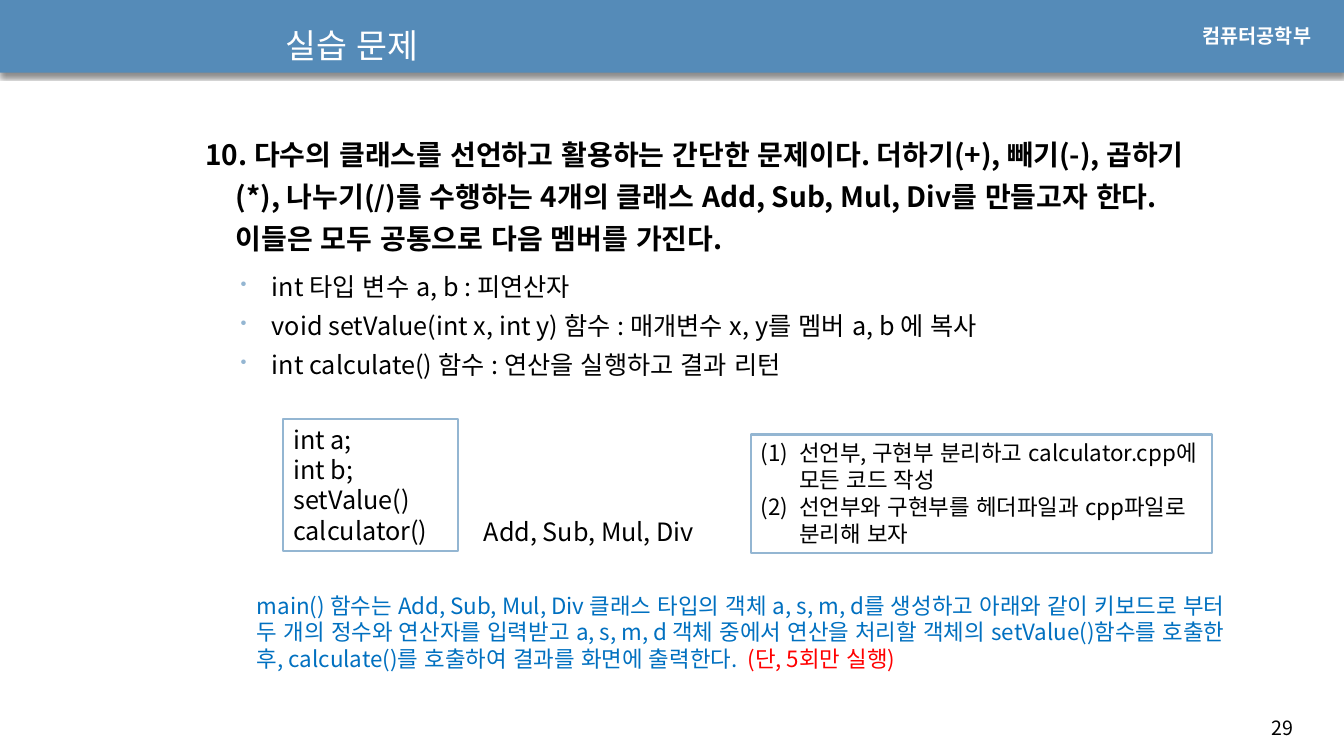
from dataclasses import dataclass, field

from lxml.etree import SubElement
from pptx import Presentation
from pptx.dml.color import RGBColor
from pptx.enum.lang import MSO_LANGUAGE_ID
from pptx.enum.shapes import MSO_SHAPE
from pptx.enum.text import MSO_ANCHOR, MSO_AUTO_SIZE, PP_ALIGN
from pptx.oxml.ns import qn
from pptx.util import Inches, Pt

SLIDE_WIDTH, SLIDE_HEIGHT = Inches(13.33), Inches(7.5)
SANS = "Noto Sans CJK KR"
COLORS = {
    "band": "558BB8",
    "border": "94B6D2",
    "white": "FFFFFF",
    "black": "000000",
    "blue": "0070C0",
    "red": "FF0000",
}


@dataclass(frozen=True)
class Area:
    """Left, top, width and height as percentages of the slide."""
    left: float
    top: float
    width: float
    height: float

    def emu(self) -> tuple[int, int, int, int]:
        return (int(SLIDE_WIDTH * self.left / 100), int(SLIDE_HEIGHT * self.top / 100),
                int(SLIDE_WIDTH * self.width / 100), int(SLIDE_HEIGHT * self.height / 100))


@dataclass(frozen=True)
class Phrase:
    text: str
    size: int
    color: str = "black"
    bold: bool = False
    face: str = SANS


@dataclass(frozen=True)
class Marker:
    """A bullet element with its attribute, and optional colour and size in percent."""
    tag: str
    attribute: str
    value: str
    color: str = ""
    percent: int = 100


@dataclass(frozen=True)
class Line:
    phrases: list[Phrase]
    indent: float = 0
    hanging: float = 0
    level: int = 0
    marker: Marker | None = None
    spacing: dict = field(default_factory=dict)


@dataclass(frozen=True)
class Block:
    area: Area
    lines: list[Line]
    bordered: bool = False
    frame_format: dict = field(default_factory=dict)


DOT = Marker("a:buChar", "char", "•", "border", 70)
NUMBER = Marker("a:buAutoNum", "type", "arabicParenBoth")
GROW = {"auto_size": MSO_AUTO_SIZE.SHAPE_TO_FIT_TEXT}

QUESTION = Line(
    [Phrase("10. 다수의 클래스를 선언하고 활용하는 간단한 문제이다. 더하기(+), 빼기(-), "
            "곱하기(*), 나누기(/)를 수행하는 4개의 클래스 Add, Sub, Mul, Div를 "
            "만들고자 한다. 이들은 모두 공통으로 다음 멤버를 가진다.", 20, bold=True)],
    indent=0.3, hanging=0.3, spacing={"line_spacing": Pt(30), "space_after": Pt(12)})
COMMON_MEMBERS = [
    Line([Phrase(member, 18)], indent=0.66, hanging=0.31, level=1, marker=DOT,
         spacing={"space_after": Pt(6)})
    for member in ("int 타입 변수 a, b : 피연산자",
                   "void setValue(int x, int y) 함수 : 매개변수 x, y를 멤버 a, b 에 복사",
                   "int calculate() 함수 : 연산을 실행하고 결과 리턴")
]
CLASS_MEMBERS = [Line([Phrase(member, 18)])
                 for member in ("int a;", "int b;", "setValue()", "calculator()")]
TASKS = [
    Line([Phrase(task, 16)], indent=0.38, hanging=0.38, marker=NUMBER)
    for task in ("선언부, 구현부 분리하고 calculator.cpp에 모든 코드 작성",
                 "선언부와 구현부를 헤더파일과 cpp파일로 분리해 보자")
]
MAIN_FUNCTION = Line([
    Phrase("main() 함수는 Add, Sub, Mul, Div 클래스 타입의 객체 a, s, m, d를 생성하고 "
           "아래와 같이 키보드로 부터 두 개의 정수와 연산자를 입력받고 a, s, m, d 객체 중에서 "
           "연산을 처리할 객체의 setValue()함수를 호출한 후, calculate()를 호출하여 "
           "결과를 화면에 출력한다.  ", 16, "blue"),
    Phrase("(단, 5회만 실행)", 16, "red"),
])

BAND = Area(0, -0.13, 100, 9.73)
BLOCKS = [
    Block(Area(93.9, 94, 5.33, 4.53), [Line([Phrase("29", 14)])], frame_format=GROW),
    Block(Area(88.73, 2.53, 10.28, 4.53),
          [Line([Phrase("컴퓨터공학부", 14, "white", True, "Arial")])], frame_format=GROW),
    Block(Area(20.48, 1.73, 15.38, 8.4), [Line([Phrase("실습 문제", 24, "white")])],
          frame_format={"vertical_anchor": MSO_ANCHOR.MIDDLE}),
    Block(Area(14.55, 16.4, 75, 36.8), [QUESTION, *COMMON_MEMBERS]),
    Block(Area(21.08, 55.47, 12.98, 17.47), CLASS_MEMBERS, True, GROW),
    Block(Area(35.25, 67.6, 20.7, 5.33), [Line([Phrase("Add, Sub, Mul, Div", 18)])],
          frame_format=GROW),
    Block(Area(18.38, 77.6, 75, 12.13), [MAIN_FUNCTION], frame_format=GROW),
    Block(Area(55.88, 57.47, 34.28, 15.73), TASKS, True, GROW),
]


def rgb(name: str) -> RGBColor:
    return RGBColor.from_string(COLORS[name])


def apply_format(target, values: dict) -> None:
    for name, value in values.items():
        setattr(target, name, value)


def add_rectangle(slide, area: Area, fill: str):
    rectangle = slide.shapes.add_shape(MSO_SHAPE.RECTANGLE, *area.emu())
    rectangle.shadow.inherit = False
    rectangle.fill.solid()
    rectangle.fill.fore_color.rgb = rgb(fill)
    return rectangle


def add_band(slide) -> None:
    band = add_rectangle(slide, BAND, "band")
    band.line.fill.background()
    effects = band._element.spPr.find(qn("a:effectLst"))
    shadow = SubElement(effects, qn("a:outerShdw"), blurRad=str(Pt(3)), dist=str(Pt(2.4)),
                        dir="5400000", algn="ctr", rotWithShape="0")
    shade = SubElement(shadow, qn("a:srgbClr"), val=COLORS["black"])
    SubElement(shade, qn("a:alpha"), val="45000")


def add_marker(properties, marker: Marker) -> None:
    if marker.color:
        tint = SubElement(properties, qn("a:buClr"))
        SubElement(tint, qn("a:srgbClr"), val=COLORS[marker.color])
    SubElement(properties, qn("a:buSzPct"), val=str(marker.percent * 1000))
    SubElement(properties, qn(marker.tag), {marker.attribute: marker.value})


def write_line(paragraph, line: Line) -> None:
    apply_format(paragraph, {"alignment": PP_ALIGN.LEFT, "level": line.level, **line.spacing})
    properties = paragraph._p.get_or_add_pPr()
    properties.set("marL", str(Inches(line.indent)))
    properties.set("indent", str(-Inches(line.hanging)))
    if line.marker:
        add_marker(properties, line.marker)
    for phrase in line.phrases:
        run = paragraph.add_run()
        run.text = phrase.text
        apply_format(run.font, {"size": Pt(phrase.size), "bold": phrase.bold,
                                "name": phrase.face, "language_id": MSO_LANGUAGE_ID.KOREAN})
        run.font.color.rgb = rgb(phrase.color)
        SubElement(run._r.get_or_add_rPr(), qn("a:ea"), typeface=phrase.face)


def add_block(slide, block: Block) -> None:
    if block.bordered:
        shape = add_rectangle(slide, block.area, "white")
        shape.line.color.rgb = rgb("border")
        shape.line.width = Pt(1.5)
    else:
        shape = slide.shapes.add_textbox(*block.area.emu())
    frame = shape.text_frame
    apply_format(frame, {"word_wrap": True, "vertical_anchor": MSO_ANCHOR.TOP,
                         **block.frame_format})
    for index, line in enumerate(block.lines):
        write_line(frame.add_paragraph() if index else frame.paragraphs[0], line)


def main() -> None:
    deck = Presentation()
    apply_format(deck, {"slide_width": SLIDE_WIDTH, "slide_height": SLIDE_HEIGHT})
    slide = deck.slides.add_slide(deck.slide_layouts[6])
    add_band(slide)
    for block in BLOCKS:
        add_block(slide, block)
    deck.save("out.pptx")


if __name__ == "__main__":
    main()
